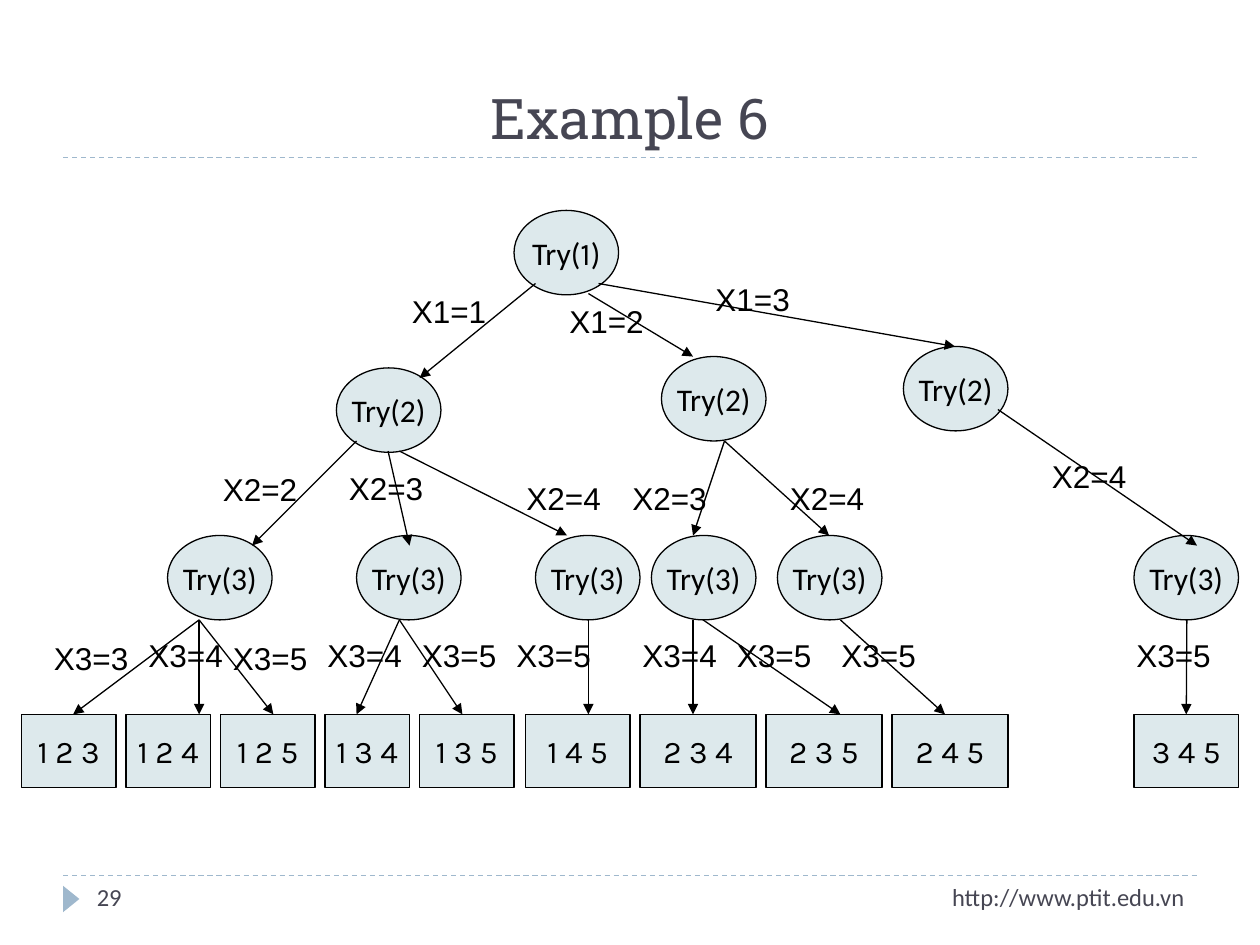
from dataclasses import dataclass

from lxml.etree import SubElement
from pptx import Presentation
from pptx.dml.color import RGBColor
from pptx.enum.dml import MSO_LINE
from pptx.enum.shapes import MSO_CONNECTOR, MSO_SHAPE
from pptx.enum.text import MSO_ANCHOR, PP_ALIGN
from pptx.oxml.ns import qn
from pptx.util import Inches, Pt


@dataclass(frozen=True)
class Theme:
    ink: RGBColor = RGBColor(0x00, 0x00, 0x00)
    heading: RGBColor = RGBColor(0x46, 0x46, 0x53)
    accent: RGBColor = RGBColor(0x9F, 0xB8, 0xCD)
    node: RGBColor = RGBColor(0xDD, 0xE9, 0xEC)
    title_size: int = 32
    body_size: int = 18
    footer_size: int = 14
    title_font: str = "Roboto Slab"
    node_font: str = "Calibri"
    digit_font: str = "Karla"
    label_font: str = "Arial"
    line_width: float = 0.75


NODE_WIDTH, NODE_HEIGHT = 0.83, 0.67
LABEL_WIDTH, LABEL_HEIGHT = 0.92, 0.4
LEAF_TOP, LEAF_HEIGHT = 5.67, 0.58

# Depth of the call, left, top
NODES = [
    (1, 4.08, 1.67),
    (2, 2.67, 2.92), (2, 5.25, 2.83), (2, 7.17, 2.75),
    *((3, left, 4.25) for left in (1.33, 2.83, 4.25, 5.17, 6.17, 9)),
]

# Combination, left, width
LEAVES = [
    ("1 2 3", 0.17, 0.75), ("1 2 4", 1, 0.67), ("1 2 5", 1.75, 0.75),
    ("1 3 4", 2.58, 0.67), ("1 3 5", 3.33, 0.75), ("1 4 5", 4.17, 0.83),
    ("2 3 4", 5.08, 0.92), ("2 3 5", 6.08, 0.92), ("2 4 5", 7.08, 0.92),
    ("3 4 5", 9, 0.83),
]

# Label, label corner, arrow start, arrow end
BRANCHES = [
    ("X1=1", (3.17, 2.27), (4.25, 2.25), (3.33, 3)),
    ("X1=2", (4.42, 2.35), (4.67, 2.33), (5.5, 2.83)),
    ("X1=3", (5.58, 2.17), (4.75, 2.25), (7.58, 2.75)),
    ("X2=2", (1.67, 3.68), (2.83, 3.5), (2, 4.33)),
    ("X2=3", (2.67, 3.67), (3.08, 3.58), (3.25, 4.33)),
    ("X2=4", (4.08, 3.75), (3.17, 3.58), (4.5, 4.25)),
    ("X2=3", (4.92, 3.75), (5.75, 3.5), (5.5, 4.25)),
    ("X2=4", (6.17, 3.75), (5.75, 3.5), (6.58, 4.25)),
    ("X2=4", (8.25, 3.58), (7.92, 3.25), (9.5, 4.33)),
    ("X3=3", (0.33, 5.02), (1.58, 4.92), (0.58, LEAF_TOP)),
    ("X3=4", (1.08, 5), (1.58, 4.92), (1.58, LEAF_TOP)),
    ("X3=5", (1.75, 5.02), (1.58, 4.92), (2.17, LEAF_TOP)),
    ("X3=4", (2.5, 5), (3.17, 4.92), (2.83, LEAF_TOP)),
    ("X3=5", (3.25, 5), (3.17, 4.92), (3.67, LEAF_TOP)),
    ("X3=5", (4, 5), (4.67, 4.92), (4.67, LEAF_TOP)),
    ("X3=4", (5, 5), (5.5, 4.92), (5.5, LEAF_TOP)),
    ("X3=5", (5.75, 5), (5.58, 4.92), (6.67, LEAF_TOP)),
    ("X3=5", (6.58, 5), (6.67, 4.92), (7.5, LEAF_TOP)),
    ("X3=5", (8.92, 5), (9.42, 4.92), (9.42, LEAF_TOP)),
]


class TreePage:
    """Draws the parts of a call tree on one slide in one theme."""

    def __init__(self, page, theme):
        self.page = page
        self.theme = theme

    def style_font(self, font, name, size, color):
        font.name, font.size = name, Pt(size)
        font.color.rgb = color

    def title(self, text):
        box = self.page.shapes.title
        box.left, box.top = Inches(0.5), Inches(0.17)
        box.width, box.height = Inches(9), Inches(1.08)
        box.text_frame.vertical_anchor = MSO_ANCHOR.BOTTOM
        box.text_frame.text = text
        para = box.text_frame.paragraphs[0]
        para.alignment = PP_ALIGN.CENTER
        self.style_font(para.font, self.theme.title_font, self.theme.title_size, self.theme.heading)

    def text(self, text, corner, width, font, size, color, align=PP_ALIGN.LEFT):
        box = self.page.shapes.add_textbox(*map(Inches, (*corner, width, LABEL_HEIGHT)))
        box.text_frame.word_wrap = True
        para = box.text_frame.paragraphs[0]
        para.text, para.alignment = text, align
        self.style_font(para.font, font, size, color)

    def label(self, text, corner):
        self.text(text, corner, LABEL_WIDTH, self.theme.label_font, self.theme.body_size, self.theme.ink)

    def footer(self, text, left, width, align=PP_ALIGN.LEFT):
        self.text(text, (left, 6.95), width, self.theme.node_font,
                  self.theme.footer_size, self.theme.heading, align)

    def shape(self, kind, place, fill):
        shape = self.page.shapes.add_shape(kind, *map(Inches, place))
        shape.shadow.inherit = False
        shape.fill.solid()
        shape.fill.fore_color.rgb = fill
        return shape

    def tree_shape(self, kind, place, font):
        """Add an outlined shape and return it with its empty centred paragraph."""
        shape = self.shape(kind, place, self.theme.node)
        shape.line.color.rgb = self.theme.ink
        shape.line.width = Pt(self.theme.line_width)
        frame = shape.text_frame
        frame.word_wrap = False
        frame.vertical_anchor = MSO_ANCHOR.MIDDLE
        para = frame.paragraphs[0]
        para.alignment = PP_ALIGN.CENTER
        self.style_font(para.font, font, self.theme.body_size, self.theme.ink)
        return shape, para

    def node(self, depth, left, top):
        place = (left, top, NODE_WIDTH, NODE_HEIGHT)
        _, para = self.tree_shape(MSO_SHAPE.OVAL, place, self.theme.node_font)
        if depth > 1:
            para.add_run().text = f"Try({depth})"
            return
        for part in ("Try(", str(depth), ")"):
            span = para.add_run()
            span.text = part
            span.font.name = self.theme.digit_font if part.isdigit() else self.theme.node_font

    def leaf(self, text, left, width):
        place = (left, LEAF_TOP, width, LEAF_HEIGHT)
        shape, para = self.tree_shape(MSO_SHAPE.RECTANGLE, place, self.theme.digit_font)
        shape.text_frame.margin_left = shape.text_frame.margin_right = 0
        para.add_run().text = text
        return shape

    def line(self, start, end, color):
        line = self.page.shapes.add_connector(MSO_CONNECTOR.STRAIGHT, *map(Inches, (*start, *end)))
        line.line.color.rgb = color
        line.line.width = Pt(self.theme.line_width)
        SubElement(line._element.spPr, qn("a:effectLst"))
        return line

    def rule(self, top):
        self.line((0.5, top), (9.5, top), self.theme.accent).line.dash_style = MSO_LINE.DASH

    def arrow(self, start, end):
        arrow = self.line(start, end, self.theme.ink)
        SubElement(arrow.line._get_or_add_ln(), qn("a:tailEnd"), type="triangle")
        return arrow

    def marker(self):
        triangle = self.shape(MSO_SHAPE.ISOSCELES_TRIANGLE, (0.46, 7.07, 0.21, 0.13), self.theme.accent)
        triangle.rotation = 90
        triangle.line.fill.background()


def main():
    deck = Presentation()
    deck.slide_width, deck.slide_height = Inches(10), Inches(7.5)
    tree = TreePage(deck.slides.add_slide(deck.slide_layouts[5]), Theme())
    for top in (6.95, 1.25):
        tree.rule(top)
    tree.marker()
    tree.title("Example 6")
    tree.footer("http://www.ptit.edu.vn", 5.67, 3.83, PP_ALIGN.RIGHT)
    tree.footer("29", 0.67, 2.17)
    for text, corner, _, _ in BRANCHES:
        tree.label(text, corner)
    for node in NODES:
        tree.node(*node)
    leaves = [tree.leaf(*leaf) for leaf in LEAVES]
    arrows = [tree.arrow(start, end) for _, _, start, end in BRANCHES]
    # Only the last arrow meets the middle of its leaf's top side
    arrows[-1].end_connect(leaves[-1], 0)
    deck.save("out.pptx")


if __name__ == "__main__":
    main()
